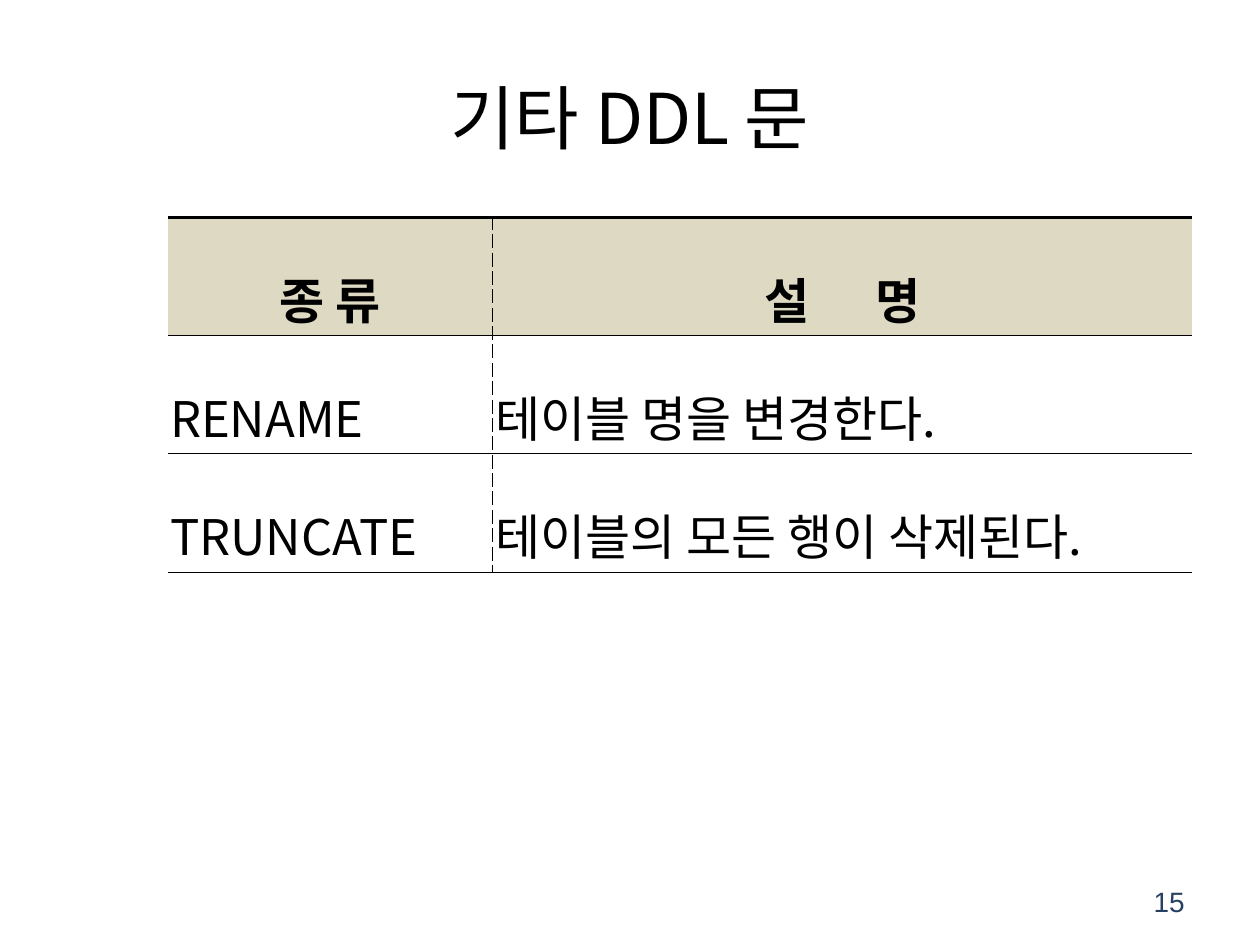
import pptx
import pptx.util
import pptx.dml.color
import pptx.enum.text
import pptx.oxml.ns
import lxml.etree

INK = {"text": "000000", "head": "DDD9C3", "body": "FFFFFF", "page": "254061"}
FACE = "Noto Sans CJK KR"
ALIGN = pptx.enum.text.PP_ALIGN
WIDE, HIGH = 10, 7.5
ROWS = [("종 류", "설 명"),
        ("RENAME", "테이블 명을 변경한다."),
        ("TRUNCATE", "테이블의 모든 행이 삭제된다.")]
WIDTHS = (2.58, 5.55)
THICK, THIN, DASH = (1.98, "solid"), (0.25, "solid"), (0.56, "dash")


def color(key):
    """Return the named colour."""
    return pptx.dml.color.RGBColor.from_string(INK[key])


def node(parent, tag, **attrs):
    """Append a drawing element and return it."""
    return lxml.etree.SubElement(parent, pptx.oxml.ns.qn("a:" + tag), attrs)


def style(para, size, align, key="text", face=FACE, bold=False):
    """Set the font and alignment of a paragraph."""
    para.alignment = align
    font = para.font
    font.size, font.name, font.bold = pptx.util.Pt(size), face, bold
    font.color.rgb = color(key)
    node(font._rPr, "ea", typeface=face)


def label(slide, box, text, size, align, **look):
    """Place one line of text centred vertically in a box."""
    shape = slide.shapes.add_textbox(*map(pptx.util.Inches, box))
    frame = shape.text_frame
    frame.word_wrap = True
    frame.vertical_anchor = pptx.enum.text.MSO_ANCHOR.MIDDLE
    para = frame.paragraphs[0]
    para.text = text
    style(para, size, align, **look)


def border(cell, lines):
    """Draw the left, right, top and bottom lines of a cell."""
    props = cell._tc.get_or_add_tcPr()
    for spot, (side, line) in enumerate(zip("LRTB", lines)):
        edge = node(props, "ln" + side)
        props.insert(spot, edge)
        if line is None:
            edge.set("w", "0")
            node(edge, "noFill")
            continue
        edge.set("w", str(int(pptx.util.Pt(line[0]))))
        node(node(edge, "solidFill"), "srgbClr", val=INK["text"])
        node(edge, "prstDash", val=line[1])


def spread(para, text, gap):
    """Write text in runs, widening its space by a gap in points."""
    for part in text.partition(" "):
        run = para.add_run()
        run.text = part
        if part == " ":
            run.font._rPr.set("spc", str(gap * 100))


def fill(cell, text, head, last):
    """Write and style one table cell."""
    cell.fill.solid()
    cell.fill.fore_color.rgb = color("head" if head else "body")
    cell.vertical_anchor = pptx.enum.text.MSO_ANCHOR.MIDDLE
    pad = pptx.util.Inches(0.02)
    cell.margin_left = cell.margin_right = pad
    cell.margin_top = cell.margin_bottom = pad
    para = cell.text_frame.paragraphs[0]
    if head and last:
        spread(para, text, 31)
    else:
        para.text = text
    para.line_spacing = 1.6
    style(para, 28, ALIGN.CENTER if head else ALIGN.JUSTIFY, bold=head)
    border(cell, (DASH if last else None, None if last else DASH,
                  THICK if head else THIN, THIN))


def grid(slide, box):
    """Build the table of statements in a box."""
    frame = slide.shapes.add_table(len(ROWS), len(WIDTHS),
                                   *map(pptx.util.Inches, box))
    table = frame.table
    table.horz_banding = False
    for col, width in zip(table.columns, WIDTHS):
        col.width = pptx.util.Inches(box[2] * width / sum(WIDTHS))
    for y, row in enumerate(ROWS):
        for x, text in enumerate(row):
            fill(table.cell(y, x), text, y == 0, x == len(row) - 1)


def main():
    """Build and save the slide."""
    deck = pptx.Presentation()
    deck.slide_width = pptx.util.Inches(WIDE)
    deck.slide_height = pptx.util.Inches(HIGH)
    slide = deck.slides.add_slide(deck.slide_layouts[6])
    edge = WIDE * 0.05
    label(slide, (edge, HIGH * 0.04, WIDE - 2 * edge, HIGH / 6),
          "기타 DDL 문", 40, ALIGN.CENTER)
    grid(slide, (WIDE * 0.133, HIGH * 0.23, sum(WIDTHS), HIGH * 0.375))
    wide = WIDE * 0.233
    label(slide, (WIDE - edge - wide, 6.95, wide, 0.4),
          "15", 16, ALIGN.RIGHT, key="page", face="Arial")
    deck.save("out.pptx")


if __name__ == "__main__":
    main()
